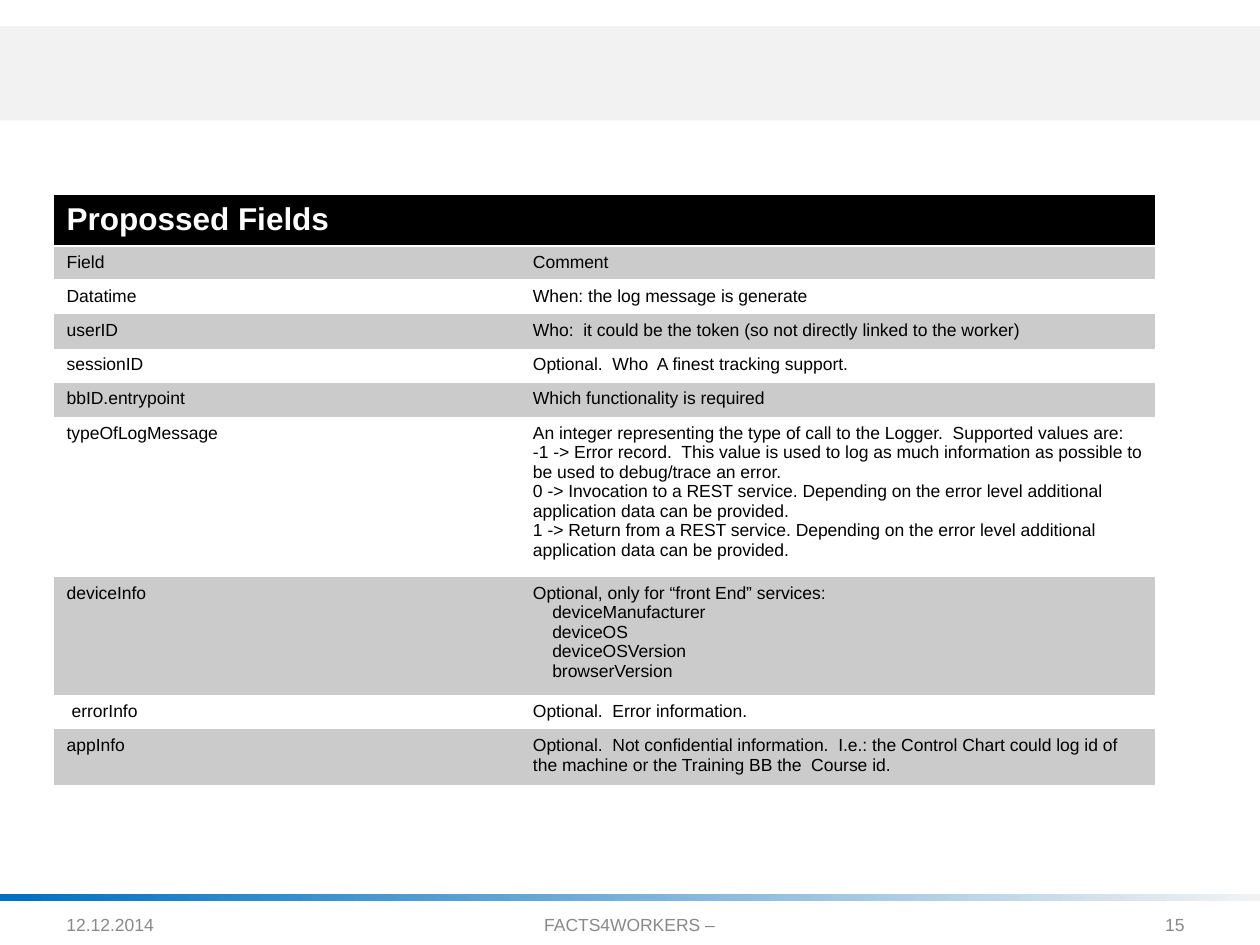
from dataclasses import dataclass

import pptx
import pptx.dml.color
import pptx.enum.shapes
import pptx.enum.text
import pptx.oxml
import pptx.oxml.ns
import pptx.util

Cm = pptx.util.Cm
Align = pptx.enum.text.PP_ALIGN


@dataclass(frozen=True)
class Theme:
    font: str = "Arial"
    title_size: int = 18
    body_size: int = 10
    text: str = "000000"
    white: str = "FFFFFF"
    header: str = "000000"
    stripe: str = "CBCBCB"
    band: str = "F2F2F2"
    accent: str = "0070C0"
    footer: str = "898989"


@dataclass(frozen=True)
class Field:
    name: str
    comments: tuple[str, ...]
    height: float = 0.69
    name_indent: float = 0
    detail_indent: float = 0


@dataclass(frozen=True)
class Footer:
    text: str
    left: float
    width: float
    align: Align


THEME = Theme()

FIELDS = [
    Field("Field", ("Comment",)),
    Field("Datatime", ("When: the log message is generate",)),
    Field("userID", ("Who:  it could be the token (so not directly linked to the worker)",)),
    Field("sessionID", ("Optional.  Who  A finest tracking support.",)),
    Field("bbID.entrypoint", ("Which functionality is required",)),
    Field("typeOfLogMessage", (
        "An integer representing the type of call to the Logger.  Supported values are:",
        "-1 -> Error record.  This value is used to log as much information as possible to "
        "be used to debug/trace an error.",
        "0 -> Invocation to a REST service. Depending on the error level additional "
        "application data can be provided.",
        "1 -> Return from a REST service. Depending on the error level additional "
        "application data can be provided.",
    ), height=3.23),
    Field("deviceInfo", (
        "Optional, only for “front End” services:",
        "deviceManufacturer",
        "deviceOS",
        "deviceOSVersion",
        "browserVersion",
    ), height=2.38, detail_indent=0.39),
    Field("errorInfo", ("Optional.  Error information.",), name_indent=0.1),
    Field("appInfo", (
        "Optional.  Not confidential information.  I.e.: the Control Chart could log id of "
        "the machine or the Training BB the  Course id.",
    ), height=1.12),
]

FOOTERS = [
    Footer("12.12.2014", 1.09, 6, Align.LEFT),
    Footer("FACTS4WORKERS –", 7.29, 10.8, Align.CENTER),
    Footer("15", 22.91, 1.22, Align.RIGHT),
]


def rgb(value: str) -> pptx.dml.color.RGBColor:
    return pptx.dml.color.RGBColor.from_string(value)


def write(p, text: str, *, size: int = THEME.body_size, color: str = THEME.text,
          bold: bool = False, align: Align = Align.LEFT, indent: float = 0) -> None:
    p.alignment = align
    if indent:
        p._p.get_or_add_pPr().set("marL", str(Cm(indent)))
    r = p.add_run()
    r.text = text
    r.font.name = THEME.font
    r.font.size = pptx.util.Pt(size)
    r.font.bold = bold
    r.font.color.rgb = rgb(color)


def add_bar(s, top: float, height: float):
    sp = s.shapes.add_shape(pptx.enum.shapes.MSO_SHAPE.RECTANGLE,
                            0, Cm(top), Cm(25.4), Cm(height))
    sp.shadow.inherit = False
    sp.line.fill.background()
    return sp


def add_footer(s, footer: Footer) -> None:
    sp = s.shapes.add_textbox(Cm(footer.left), Cm(18.34), Cm(footer.width), Cm(0.61))
    tf = sp.text_frame
    tf.word_wrap = True
    tf.vertical_anchor = pptx.enum.text.MSO_ANCHOR.MIDDLE
    write(tf.paragraphs[0], footer.text, color=THEME.footer, align=footer.align)


def fill_cell(cell, color: str) -> None:
    cell.fill.solid()
    cell.fill.fore_color.rgb = rgb(color)


def add_border(cell, side: str) -> None:
    line = pptx.oxml.parse_xml(
        f'<a:{side} {pptx.oxml.ns.nsdecls("a")} w="12192"><a:solidFill>'
        f'<a:srgbClr val="{THEME.white}"/></a:solidFill></a:{side}>')
    cell._tc.get_or_add_tcPr().insert(0, line)


def add_field(table, row: int, field: Field) -> None:
    table.rows[row].height = Cm(field.height)
    name, comment = table.rows[row].cells
    for cell in (name, comment):
        fill_cell(cell, THEME.stripe if row % 2 else THEME.white)
    write(name.text_frame.paragraphs[0], field.name, indent=field.name_indent)
    tf = comment.text_frame
    for i, text in enumerate(field.comments):
        p = tf.add_paragraph() if i else tf.paragraphs[0]
        write(p, text, indent=field.detail_indent if i else 0)


def add_fields_table(s) -> None:
    widths = (9.4, 12.8)
    header_height = 1.02
    height = header_height + sum(field.height for field in FIELDS)
    frame = s.shapes.add_table(len(FIELDS) + 1, 2, Cm(1.09), Cm(3.94),
                               Cm(sum(widths)), Cm(height))
    table = frame.table
    style = table._tbl.tblPr.find(pptx.oxml.ns.qn("a:tableStyleId"))
    style.text = "{2D5ABB26-0587-4C30-8999-92F81FD0307C}"
    for column, width in zip(table.columns, widths):
        column.width = Cm(width)
    table.rows[0].height = Cm(header_height)
    header = table.cell(0, 0)
    header.merge(table.cell(0, 1))
    fill_cell(header, THEME.header)
    write(header.text_frame.paragraphs[0], "Propossed Fields",
          size=THEME.title_size, color=THEME.white, bold=True)
    for row, field in enumerate(FIELDS, start=1):
        add_field(table, row, field)
    for column in range(2):
        add_border(table.cell(0, column), "lnB")
        add_border(table.cell(1, column), "lnT")


def main() -> None:
    prs = pptx.Presentation()
    prs.slide_width, prs.slide_height = Cm(25.4), Cm(19.05)
    s = prs.slides.add_slide(prs.slide_layouts[6])

    band = add_bar(s, 0.53, 1.9)
    band.fill.solid()
    band.fill.fore_color.rgb = rgb(THEME.band)

    rule = add_bar(s, 18.03, 0.13)
    rule.fill.gradient()
    rule.fill.gradient_angle = 0
    for stop, color in zip(rule.fill.gradient_stops, (THEME.accent, THEME.band)):
        stop.color.rgb = rgb(color)

    for footer in FOOTERS:
        add_footer(s, footer)
    add_fields_table(s)
    prs.save("out.pptx")


if __name__ == "__main__":
    main()
